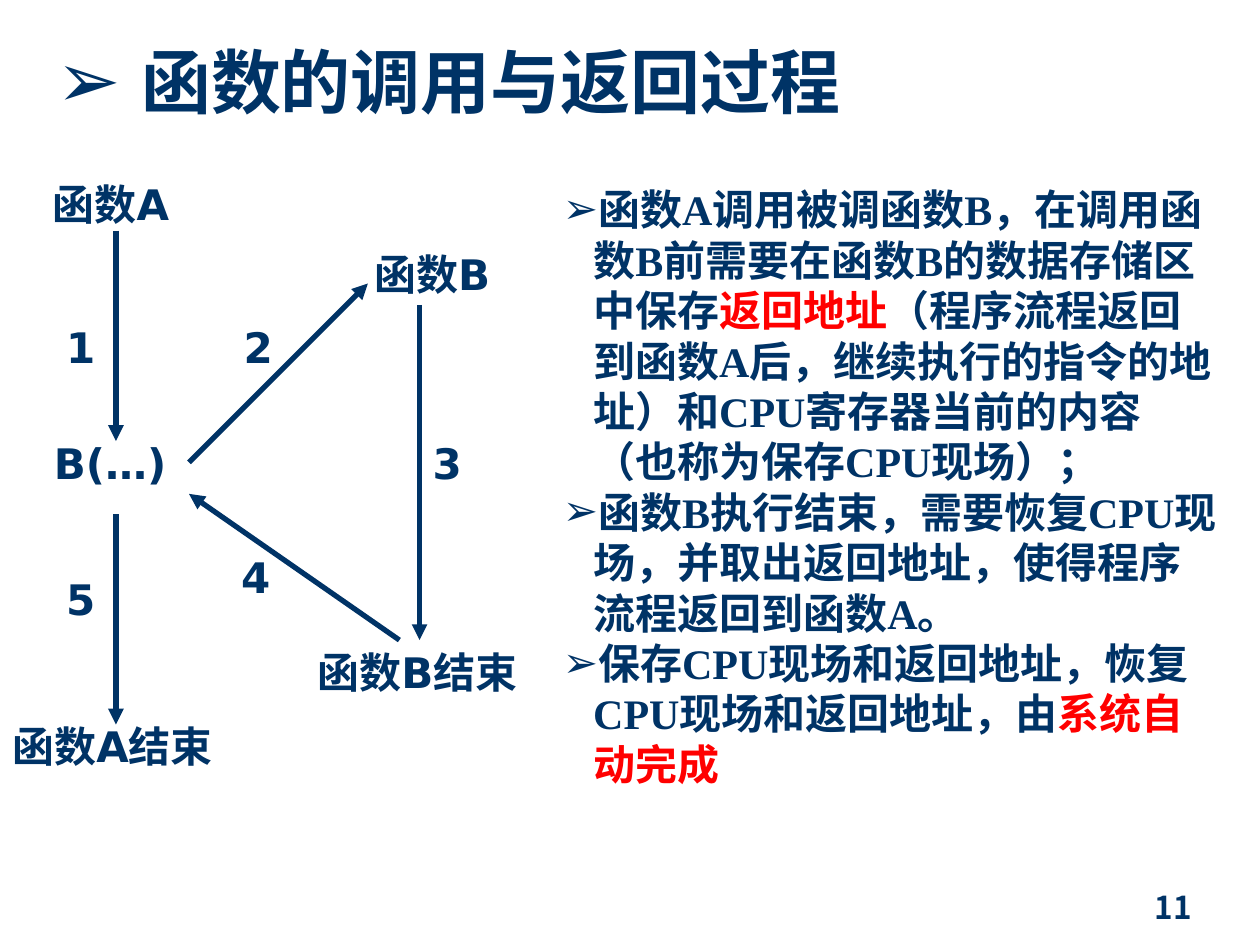
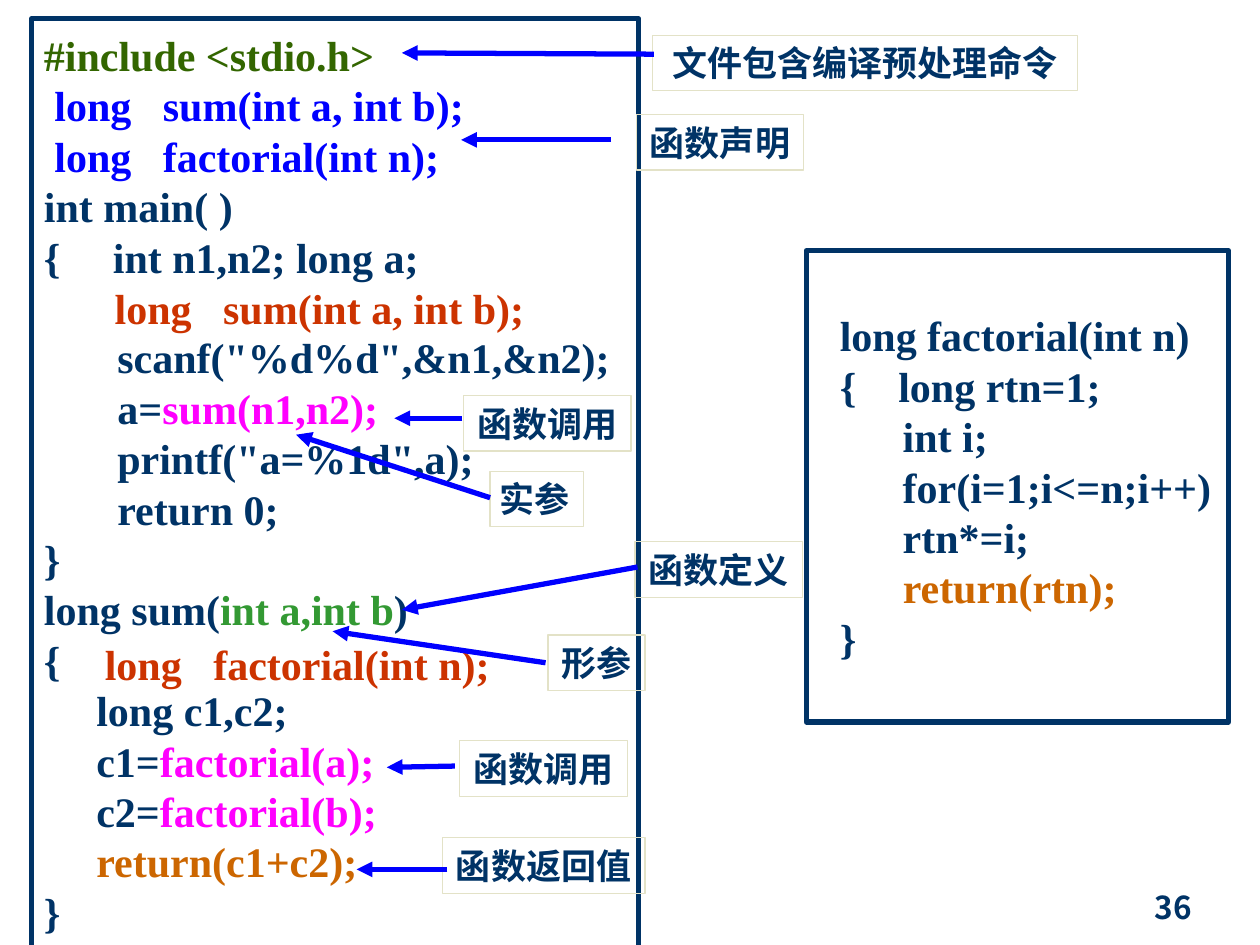
from dataclasses import dataclass

from lxml.etree import SubElement as Sub
from pptx import Presentation
from pptx.dml.color import RGBColor as Rgb
from pptx.enum.shapes import MSO_CONNECTOR as Conn, MSO_SHAPE as Shape
from pptx.enum.text import MSO_ANCHOR as Anchor, MSO_AUTO_SIZE as Fit, PP_ALIGN as Align
from pptx.oxml.ns import qn
from pptx.util import Inches, Pt


@dataclass(frozen=True)
class Theme:
    navy: str = "003366"
    red: str = "FF0000"
    blue: str = "0000FF"
    moss: str = "336600"
    green: str = "339933"
    pink: str = "FF00FF"
    rust: str = "CC3300"
    amber: str = "CC6600"
    sand: str = "E3E2C7"
    serif: str = "Times New Roman"
    sans: str = "DejaVu Sans"
    asian: str = "Noto Sans CJK JP"
    title: int = 40
    body: int = 24
    note: int = 20
    page: int = 18
    lead: float = 1.2
    thick: float = 3
    thin: float = 0.75


T = Theme()


def add_run(para, text, size, face, color=T.navy):
    run = para.add_run()
    run.text = text
    font = run.font
    font.size, font.name, font.bold = Pt(size), face, True
    font.color.rgb = Rgb.from_string(color)
    Sub(font._element, qn("a:ea"), typeface=T.asian)


def add_mark(para, inset, scale=100):
    props = para._p.get_or_add_pPr()
    props.set("marL", str(Inches(inset)))
    props.set("indent", str(-Inches(inset)))
    Sub(Sub(props, qn("a:buClr")), qn("a:srgbClr"), val=T.navy)
    Sub(props, qn("a:buSzPct"), val=str(scale * 1000))
    Sub(props, qn("a:buFont"), typeface=T.sans)
    Sub(props, qn("a:buChar"), char="➢")


def fill_text(shape, lines, size, face, align=Align.LEFT, wrap=True,
              anchor=Anchor.TOP, mark=None, gap=None):
    frame = shape.text_frame
    frame.word_wrap, frame.auto_size = wrap, Fit.NONE
    frame.vertical_anchor = anchor
    for num, runs in enumerate(lines):
        para = frame.add_paragraph() if num else frame.paragraphs[0]
        if mark:
            add_mark(para, mark)
        para.alignment = align
        para.line_spacing = Pt(size * T.lead)
        if num == gap:
            para.space_after = Pt(size * T.lead)
        for text, *color in runs:
            add_run(para, text, size, face, *color)


def add_text(slide, area, lines, size, face, **style):
    box = slide.shapes.add_textbox(*map(Inches, area))
    fill_text(box, lines, size, face, **style)
    return box


def add_box(slide, area, lines, size, color, width, **style):
    box = slide.shapes.add_shape(Shape.RECTANGLE, *map(Inches, area))
    box.shadow.inherit = False
    box.fill.background()
    box.line.color.rgb = Rgb.from_string(color)
    box.line.width = Pt(width)
    fill_text(box, lines, size, T.serif, anchor=Anchor.MIDDLE, **style)
    return box


def add_arrow(slide, start, end, color):
    line = slide.shapes.add_connector(Conn.STRAIGHT, *map(Inches, start + end))
    line.line.color.rgb = Rgb.from_string(color)
    line.line.width = Pt(T.thick)
    Sub(line.line._get_or_add_ln(), qn("a:tailEnd"), type="triangle")
    Sub(line._element.spPr, qn("a:effectLst"))


def add_title(slide, text):
    title = slide.shapes.title
    title.left, title.top, title.width, title.height = map(Inches, (0.35, 0.21, 7.08, 0.96))
    frame = title.text_frame
    frame.auto_size, frame.vertical_anchor = Fit.NONE, Anchor.MIDDLE
    para = frame.paragraphs[0]
    add_mark(para, 0.67, 110)
    para.alignment, para.line_spacing = Align.LEFT, 0.85
    add_run(para, text, T.title, T.serif)


def add_page(slide, num):
    box = add_text(slide, (7.92, 7, 2.08, 0.5), [[(str(num),)]], T.page, T.asian,
                   align=Align.RIGHT)
    box.text_frame.margin_right = Inches(0.54)


def add_note(slide, text, left, top, width, start, end):
    box = add_box(slide, (left, top, width, 0.44), [[(text,)]], T.note, T.sand, T.thin,
                  align=Align.CENTER, wrap=False)
    add_arrow(slide, start, end, T.blue)
    return box


def draw_flow(slide):
    add_title(slide, "函数的调用与返回过程")
    nodes = [
        ("函数A", 0.32, 1.37, 1.13), ("B(…)", 0.33, 3.42, 1.16),
        ("函数A结束", 0, 5.67, 1.79), ("函数B", 2.87, 1.92, 1.12),
        ("函数B结束", 2.42, 5.08, 1.79),
    ]
    for text, left, top, width in nodes:
        add_text(slide, (left, top, width, 0.5), [[(text,)]], T.body, T.sans)
    steps = [
        ((0.42, 2.5), (0.92, 1.83), (0.92, 3.5)),
        ((1.83, 2.5), (1.5, 3.67), (2.92, 2.25)),
        ((3.33, 3.42), (3.33, 2.42), (3.33, 5.08)),
        ((1.81, 4.33), (3.17, 5.08), (1.5, 3.92)),
        ((0.42, 4.5), (0.92, 4.08), (0.92, 5.75)),
    ]
    for num, (spot, start, end) in enumerate(steps, 1):
        add_arrow(slide, start, end, T.navy)
        add_text(slide, spot + (0.44, 0.5), [[(str(num),)]], T.body, T.sans,
                 align=Align.CENTER)
    points = [
        [("函数A调用被调函数B，在调用函数B前需要在函数B的数据存储区中保存",),
         ("返回地址", T.red),
         ("（程序流程返回到函数A后，继续执行的指令的地址）和CPU寄存器当前的内容（也称为保存CPU现场）；",)],
        [("函数B执行结束，需要恢复CPU现场，并取出返回地址，使得程序流程返回到函数A。",)],
        [("保存CPU现场和返回地址，恢复CPU现场和返回地址，由",), ("系统自动完成", T.red)],
    ]
    add_text(slide, (4.37, 1.41, 5.43, 4.89), points, T.body, T.serif, mark=0.24)
    add_page(slide, 11)


def draw_code(slide):
    add_page(slide, 36)
    main_code = [
        [("#include <stdio.h>", T.moss)],
        [(" long   sum(int a, int b);", T.blue)],
        [(" long   factorial(int n);", T.blue)],
        [("int main( )",)],
        [("{     int n1,n2; long a;",)],
        [('       scanf("%d%d",&n1,&n2);',)],
        [("       a=",), ("sum(n1,n2);", T.pink)],
        [('       printf("a=%1d",a);',)],
        [("       return 0;",)],
        [("}",)],
        [("long sum(",), ("int a,int b", T.green), (")",)],
        [("{",)],
        [("     long c1,c2;",)],
        [("     c1=",), ("factorial(a);", T.pink)],
        [("     c2=",), ("factorial(b);", T.pink)],
        [("     ",), ("return(c1+c2);", T.amber)],
        [("}",)],
    ]
    fact_code = [
        [("  long factorial(int n)",)],
        [("  {    long rtn=1;",)],
        [("        int i;",)],
        [("        for(i=1;i<=n;i++)",)],
        [("        rtn*=i;",)],
        [("        ",), ("return(rtn);", T.amber)],
        [("  }",)],
    ]
    add_box(slide, (0.25, 0.15, 4.82, 7.37), main_code, T.body, T.navy, T.thick, gap=4)
    add_box(slide, (6.4, 1.99, 3.35, 3.74), fact_code, T.body, T.navy, T.thick)
    for text, area in [("long   sum(int a, int b);", (0.81, 2.19, 3.45, 0.5)),
                       ("long   factorial(int n);", (0.73, 5.02, 3.26, 0.5))]:
        add_text(slide, area, [[(text, T.rust)]], T.body, T.serif,
                 align=Align.CENTER, wrap=False, anchor=Anchor.MIDDLE)
    notes = [
        ("文件包含编译预处理命令", 5.18, 0.28, 3.37, (5.19, 0.43), (3.19, 0.42)),
        ("函数声明", 5.05, 0.91, 1.33, (4.85, 1.11), (3.66, 1.11)),
        ("函数定义", 5.04, 4.3, 1.33, (5.06, 4.5), (3.19, 4.84)),
        ("函数调用", 3.68, 3.14, 1.33, (3.67, 3.32), (3.13, 3.32)),
        ("函数调用", 3.65, 5.88, 1.33, (3.61, 6.08), (3.07, 6.09)),
        ("函数返回值", 3.51, 6.65, 1.61, (3.55, 6.9), (2.83, 6.9)),
        ("形参", 4.35, 5.04, 0.77, (4.33, 5.26), (2.64, 5.01)),
    ]
    for note in notes:
        add_note(slide, *note)
    box = add_note(slide, "实参", 3.89, 3.74, 0.74, (3.89, 3.95), (2.35, 3.45))
    box.text_frame.margin_left = Inches(0.06)


def main():
    deck = Presentation()
    deck.slide_width, deck.slide_height = Inches(10), Inches(7.5)
    draw_flow(deck.slides.add_slide(deck.slide_layouts[5]))
    draw_code(deck.slides.add_slide(deck.slide_layouts[6]))
    deck.save("out.pptx")


if __name__ == "__main__":
    main()
